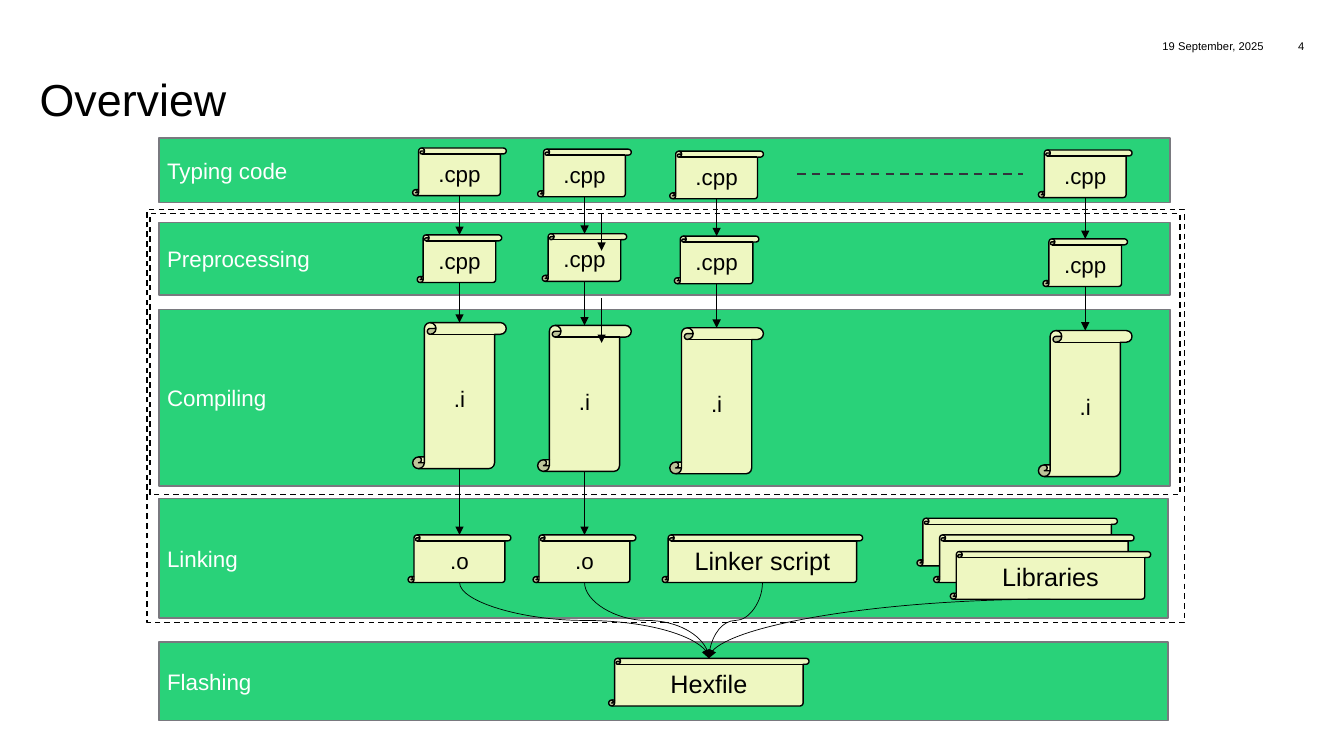
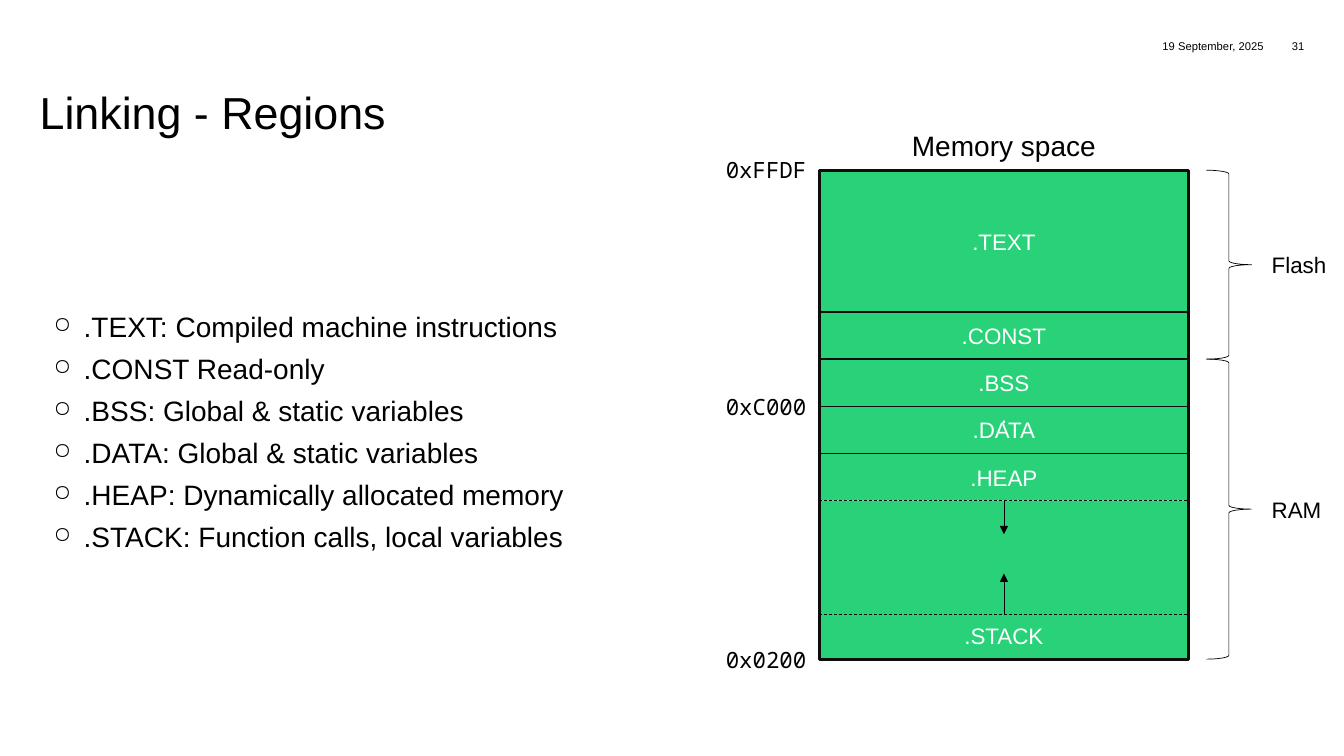
from dataclasses import dataclass
from itertools import pairwise

from lxml.etree import SubElement
from pptx import Presentation
from pptx.dml.color import RGBColor
from pptx.enum.dml import MSO_LINE
from pptx.enum.shapes import MSO_CONNECTOR as Connector, MSO_SHAPE as Preset
from pptx.enum.text import MSO_ANCHOR as Anchor, PP_ALIGN as Align
from pptx.oxml.ns import qn
from pptx.slide import Slide
from pptx.util import Cm, Pt

COLORS = {
    "black": "000000",
    "white": "FFFFFF",
    "green": "29D279",
    "paper": "EEF7C1",
    "band_edge": "79797F",
    "memory_edge": "0D0D0D",
    "ellipsis": "33333C",
}
FONT = "Arial"
MONO = "Noto Sans Mono"
DATE = "19 September, 2025"
SCROLL_HEIGHT = 1.2
WIDE_SCROLL = 5.05


def color(name):
    """Return the named palette colour."""
    return RGBColor.from_string(COLORS[name])


def write(shape, text, size, ink="black", font=FONT, align=Align.LEFT,
          anchor=Anchor.TOP, margins=(0, 0)):
    """Put styled text into a shape or text box."""
    frame = shape.text_frame
    frame.word_wrap = True
    frame.vertical_anchor = anchor
    frame.margin_left = frame.margin_right = Cm(margins[0])
    frame.margin_top = frame.margin_bottom = Cm(margins[1])
    frame.text = text
    for paragraph in frame.paragraphs:
        paragraph.alignment = align
        for run in paragraph.runs:
            run.font.size = Pt(size)
            run.font.name = font
            run.font.color.rgb = color(ink)
    return frame


def stroke(line, ink, width, dashed=False):
    """Style an outline or a connector line."""
    line.color.rgb = color(ink)
    line.width = Pt(width)
    if dashed:
        line.dash_style = MSO_LINE.DASH


@dataclass
class Region:
    """Part of a slide whose contents are placed from its top left corner, in cm."""

    slide: Slide
    left: float
    top: float

    def place(self, x, y):
        """Turn a point of the region into slide lengths."""
        return Cm(self.left + x), Cm(self.top + y)

    def text(self, x, y, width, height, text, size, **style):
        """Add a text box without margins."""
        box = self.slide.shapes.add_textbox(*self.place(x, y), Cm(width), Cm(height))
        return write(box, text, size, **style)

    def shape(self, preset, x, y, width, height, fill=None, edge=None,
              weight=1, dashed=False, text="", size=16, ink="white",
              align=Align.CENTER):
        """Add a preset shape with optional fill, outline and text."""
        shape = self.slide.shapes.add_shape(
            preset, *self.place(x, y), Cm(width), Cm(height))
        shape.shadow.inherit = False
        if fill:
            shape.fill.solid()
            shape.fill.fore_color.rgb = color(fill)
        else:
            shape.fill.background()
        if edge:
            stroke(shape.line, edge, weight, dashed)
        else:
            shape.line.fill.background()
        if text:
            write(shape, text, size, ink, align=align, anchor=Anchor.MIDDLE,
                  margins=(0.2, 0.1))
        return shape

    def line(self, start, end, kind=Connector.STRAIGHT, ink="black",
             weight=0.5, dashed=False, arrow=False):
        """Add a connector between two points."""
        connector = self.slide.shapes.add_connector(
            kind, *self.place(*start), *self.place(*end))
        stroke(connector.line, ink, weight, dashed)
        if arrow:
            outline = connector.line._get_or_add_ln()
            SubElement(outline, qn("a:tailEnd"), type="triangle")
        SubElement(connector._element.spPr, qn("a:effectLst"))
        return connector

    def drop_curve(self, start, end):
        """Add an S-shaped arrow that leaves and arrives vertically."""
        (x1, y1), (x2, y2) = start, end
        middle_x, middle_y = (x1 + x2) / 2, (y1 + y2) / 2
        half_run, half_drop = abs(x2 - x1) / 2, (y2 - y1) / 2
        connector = self.line(
            (middle_x - half_drop, middle_y - half_run),
            (middle_x + half_drop, middle_y + half_run),
            Connector.CURVE, arrow=True)
        transform = connector._element.spPr.find(qn("a:xfrm"))
        transform.set("rot", "16200000" if x2 > x1 else "5400000")
        if x2 > x1:
            transform.set("flipH", "1")

    def side_curve(self, start, end):
        """Add an arrow that leaves sideways and arrives vertically."""
        connector = self.line(start, end, Connector.CURVE, arrow=True)
        geometry = connector._element.spPr.find(qn("a:prstGeom"))
        geometry.set("prst", "curvedConnector2")

    def scroll(self, x, y, width, text="", size=16, height=SCROLL_HEIGHT):
        """Add a file drawn as a paper scroll."""
        return self.shape(Preset.VERTICAL_SCROLL, x, y, width, height, "paper",
                          "black", text=text, size=size, ink="black")


def add_page(presentation, title, title_top, number):
    """Add a blank slide with its title, date and number."""
    slide = presentation.slides.add_slide(presentation.slide_layouts[6])
    page = Region(slide, 0, 0)
    frame = page.text(1, title_top, 31.88, 1.6, title, 32, anchor=Anchor.BOTTOM)
    frame.paragraphs[0].line_spacing = 0.83
    page.text(28.4, 0.99, 3.45, 0.53, DATE, 8, align=Align.RIGHT)
    page.text(31.85, 0.99, 1.02, 0.53, number, 8, align=Align.RIGHT)
    return slide


def draw_bands(region):
    """Draw the labelled band of each build stage."""
    bands = [
        ("Typing code", 0, 25.48, 1.63),
        ("Preprocessing", 2.13, 25.48, 1.83),
        ("Compiling", 4.32, 25.48, 4.45),
        ("Linking", 9.09, 25.43, 3),
        ("Flashing", 12.7, 25.43, 1.98),
    ]
    for label, y, width, height in bands:
        region.shape(Preset.RECTANGLE, 0.3, y, width, height, "green",
                     "band_edge", text=label, align=Align.LEFT)


def draw_file_column(region, center, tops):
    """Draw the files one source passes through, joined by arrows."""
    stages = [(".cpp", 2.36, SCROLL_HEIGHT), (".cpp", 2.13, SCROLL_HEIGHT),
              (".i", 2.36, 3.68), (".o", 2.59, SCROLL_HEIGHT)]
    scrolls = [
        region.scroll(center - width / 2, y, width, name, height=height)
        for (name, width, height), y in zip(stages, tops)
    ]
    for upper, lower in pairwise(scrolls):
        arrow = region.line((center, 0), (center, 1), arrow=True)
        arrow.begin_connect(upper, 2)
        arrow.end_connect(lower, 0)


def draw_linker(region, object_centers):
    """Draw the linker inputs and their arrows into the hexfile."""
    y, half = 10, WIDE_SCROLL / 2
    script_x, hexfile_x, hexfile_y = 12.98, 11.63, 13.11
    library_x, library_y, step = 19.4, 9.58, 0.42
    region.scroll(script_x, y, WIDE_SCROLL, "Linker script", 18)
    for index, label in enumerate(["", "", "Libraries"]):
        region.scroll(library_x + index * step, library_y + index * step,
                      WIDE_SCROLL, label, 18)
    region.scroll(hexfile_x, hexfile_y, WIDE_SCROLL, "Hexfile", 18)
    target = (hexfile_x + half, hexfile_y)
    for center in [*object_centers, script_x + half]:
        region.drop_curve((center, y + SCROLL_HEIGHT), target)
    front = (library_x + 2 * step + half, library_y + 2 * step + SCROLL_HEIGHT)
    region.side_curve(front, target)


def draw_pipeline(region):
    """Draw the whole path from source files to hexfile."""
    columns = [
        (7.87, (0.25, 2.44, 4.65, 10)),
        (11.02, (0.28, 2.41, 4.72, 10)),
        (14.35, (0.33, 2.47, 4.78)),
        (23.64, (0.3, 2.54, 4.85)),
    ]
    draw_bands(region)
    for center, tops in columns:
        draw_file_column(region, center, tops)
    draw_linker(region, [center for center, tops in columns if len(tops) == 4])
    for x, y, width, height in [(0.07, 1.9, 25.96, 7.09), (0, 1.8, 26.14, 10.41)]:
        region.shape(Preset.RECTANGLE, x, y, width, height, edge="black", dashed=True)
    for start, end in [(1.9, 2.84), (4.04, 5.16)]:
        region.line((11.45, start), (11.45, end), arrow=True)
    region.line((16.38, 0.91), (22.07, 0.91), ink="ellipsis", weight=1.5, dashed=True)


def draw_region_list(region):
    """Draw the bulleted list of memory regions."""
    entries = [
        ".TEXT: Compiled machine instructions",
        ".CONST Read-only",
        ".BSS: Global & static variables",
        ".DATA: Global & static variables",
        ".HEAP: Dynamically allocated memory",
        ".STACK: Function calls, local variables",
    ]
    frame = region.text(0, 0, 16.69, 8, "\n".join(entries), 20)
    for paragraph in frame.paragraphs:
        paragraph.level = 1
        paragraph.space_after = Pt(6)
        properties = paragraph._p.get_or_add_pPr()
        properties.set("marL", str(Cm(1.5)))
        properties.set("indent", str(Cm(-0.76)))
        SubElement(properties, qn("a:buSzPct"), val="80000")
        SubElement(properties, qn("a:buChar"), char="○")


def draw_memory_map(region):
    """Draw the memory column with its addresses, braces and growth arrows."""
    x, top, width, row = 3.48, 1.06, 9.3, 1.19
    middle = x + width / 2
    segments = [(".TEXT", 3 * row, True), (".CONST", row, True),
                (".BSS", row, True), (".DATA", row, True),
                (".HEAP", row, False), ("", 2.8, False), (".STACK", row, False)]
    bottom = top + sum(height for _, height, _ in segments)
    y = bottom
    for name, height, outlined in reversed(segments):
        y -= height
        region.shape(Preset.RECTANGLE, x, y, width, height, "green",
                     "memory_edge" if outlined else None, text=name)
    region.shape(Preset.RECTANGLE, x, top, width, bottom - top,
                 edge="memory_edge", weight=2.25, text=".")
    heap_end, stack_end = 9.37, 12.24
    for limit, tip in [(heap_end, 10.23), (stack_end, 11.22)]:
        region.line((x, limit), (x + width, limit), dashed=True)
        region.line((middle, limit), (middle, tip), arrow=True)
    region.text(x, 0, width, 0.86, "Memory space", 20, align=Align.CENTER)
    for address, y in [("0xFFDF", 0.71), ("0xC000", 6.68), ("0x0200", 13.05)]:
        region.text(0, y, 3.15, 0.69, address, 16, font=MONO, align=Align.RIGHT)
    flash_end = top + 4 * row
    for name, start, end in [("Flash", top, flash_end), ("RAM", flash_end, bottom)]:
        region.shape(Preset.RIGHT_BRACE, 13.23, start, 1.14, end - start,
                     edge="black", weight=0.5)
        region.text(14.88, (start + end) / 2 - 0.34, 1.7, 0.69, name, 16)


def main():
    """Build and save the presentation."""
    presentation = Presentation()
    presentation.slide_width = Cm(33.87)
    presentation.slide_height = Cm(19.05)
    overview = add_page(presentation, "Overview", 1.55, "4")
    draw_pipeline(Region(overview, 3.71, 3.48))
    regions = add_page(presentation, "Linking - Regions", 1.88, "31")
    draw_region_list(Region(regions, 0.61, 7.8))
    draw_memory_map(Region(regions, 17.17, 3.23))
    presentation.save("out.pptx")


if __name__ == "__main__":
    main()
